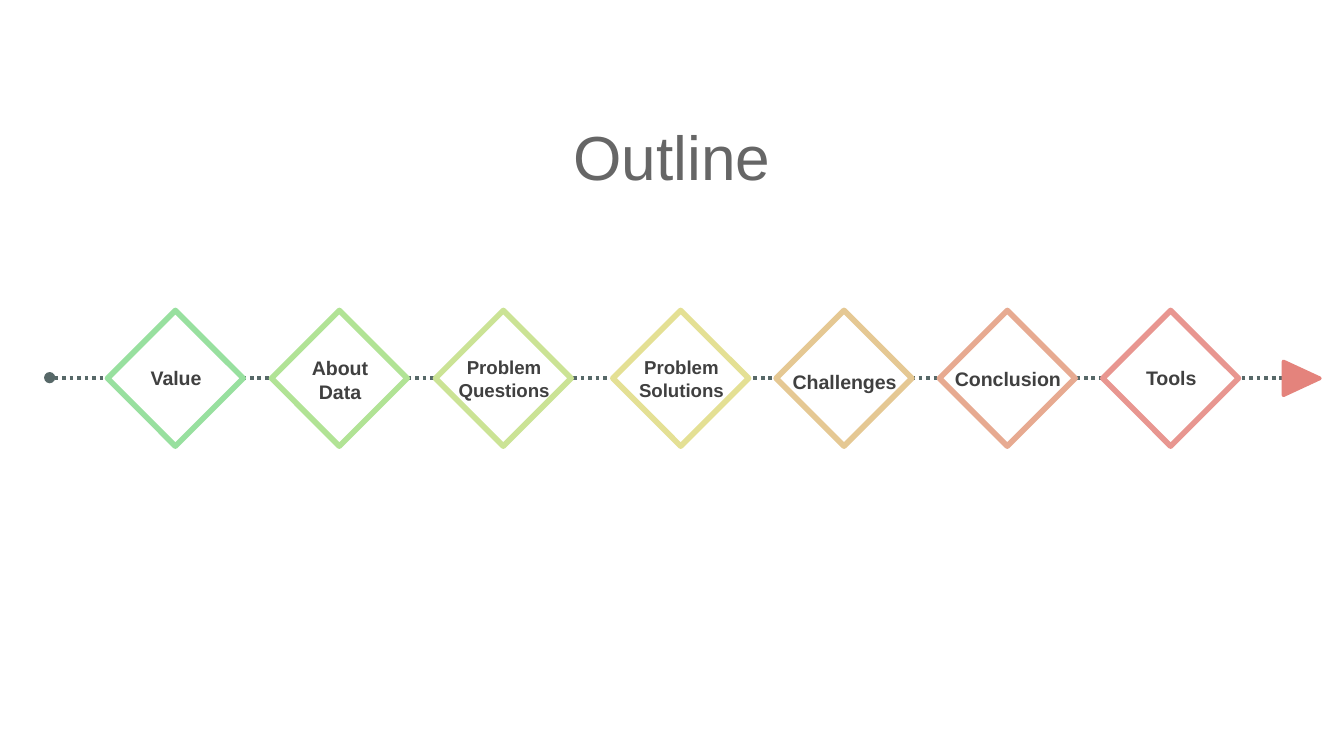
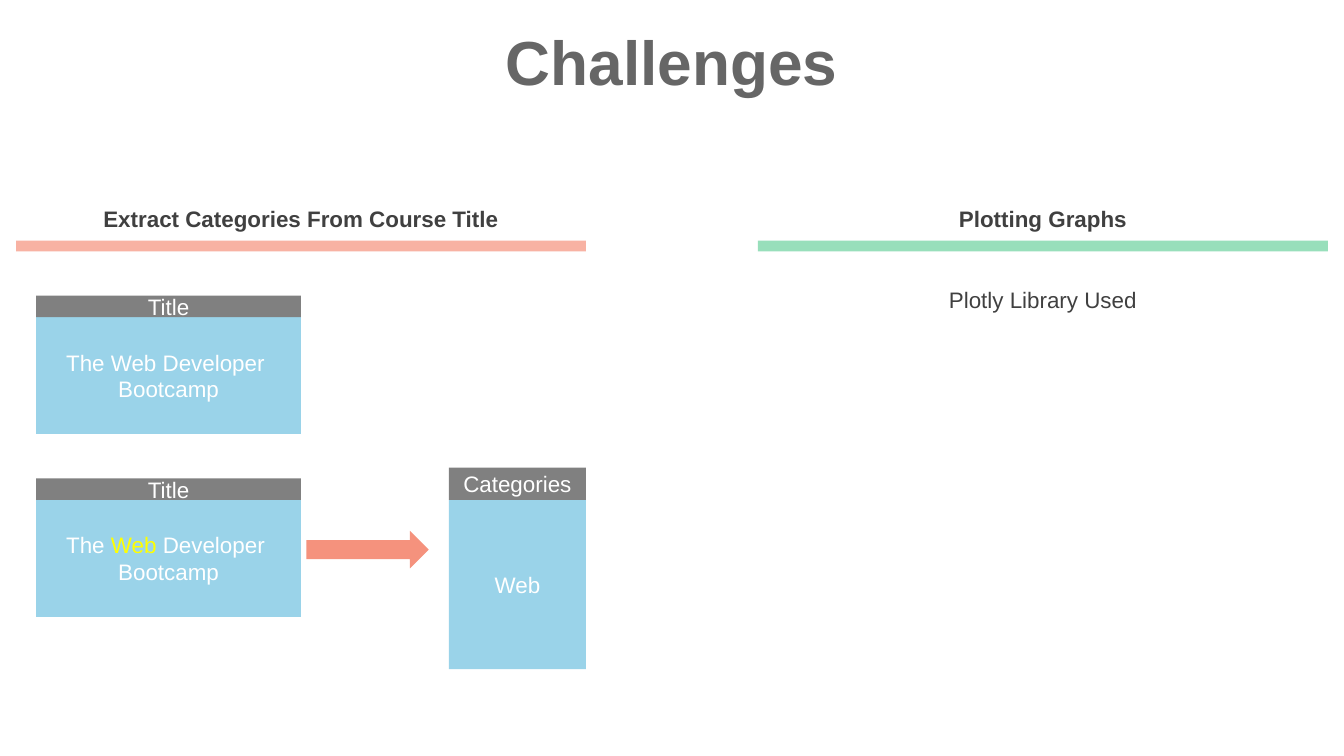
from dataclasses import dataclass

from lxml import etree
from pptx import Presentation
from pptx.dml.color import RGBColor
from pptx.enum.dml import MSO_LINE
from pptx.enum.shapes import MSO_CONNECTOR, MSO_SHAPE
from pptx.enum.text import MSO_ANCHOR, PP_ALIGN
from pptx.oxml.ns import qn
from pptx.util import Inches, Pt

RECT = MSO_SHAPE.RECTANGLE
DIAMOND = MSO_SHAPE.DIAMOND
TRIANGLE = MSO_SHAPE.ISOSCELES_TRIANGLE
ARROW = MSO_SHAPE.RIGHT_ARROW
STRAIGHT = MSO_CONNECTOR.STRAIGHT
DOTTED = MSO_LINE.ROUND_DOT
CENTER = PP_ALIGN.CENTER
TOP, MIDDLE = MSO_ANCHOR.TOP, MSO_ANCHOR.MIDDLE
COLS = 100


@dataclass(frozen=True)
class Theme:
    """Colours and type sizes of the deck."""

    font: str = "Arial"
    title: str = "666666"
    ink: str = "404040"
    white: str = "FFFFFF"
    mark: str = "FFFF00"
    track: str = "576868"
    tip: str = "E4837C"
    head: str = "808080"
    body: str = "9AD3E9"
    arrow: str = "F5927D"
    coral: str = "F8B2A3"
    mint: str = "98DFBB"
    steps: tuple = ("98E09F", "B1E395", "CBE395", "E4E094",
                    "E5C893", "E7AA91", "E89690")
    big: float = 33.3
    text: float = 12
    label: float = 10.5
    small: float = 10


class Deck:
    """Draws styled elements on a grid of square cells, 100 to the slide's width."""

    def __init__(self, theme):
        """Start an empty deck."""
        self.theme = theme
        self.prs = Presentation()
        self.prs.slide_width = Inches(10)
        self.prs.slide_height = Inches(10) * 9 // 16
        self.cell = self.prs.slide_width // COLS
        self.slide = None

    def page(self, title, row, bold=False):
        """Add a slide with its title."""
        self.slide = self.prs.slides.add_slide(self.prs.slide_layouts[6])
        self.text(title, (0, row, COLS, 6.3), self.theme.big,
                  self.theme.title, bold, MIDDLE)

    def grid(self, *cells):
        """Turn grid cells into lengths."""
        return [round(n * self.cell) for n in cells]

    def letter(self, frame, words, size, color, bold=False, anchor=MIDDLE, mark=None):
        """Fill a text frame, with one word marked if asked."""
        frame.word_wrap = True
        frame.vertical_anchor = anchor
        para = frame.paragraphs[0]
        para.alignment = CENTER
        para.font.name = self.theme.font
        para.font.size = Pt(size)
        para.font.bold = bold
        para.font.color.rgb = RGBColor.from_string(color)
        if not mark:
            para.text = words
            return
        before, after = words.split(mark)
        first, *rest = after.split("\n")
        for part in (before, mark, first):
            run = para.add_run()
            run.text = part
            if part == mark:
                run.font.color.rgb = RGBColor.from_string(self.theme.mark)
        for part in rest:
            para.add_line_break()
            para.add_run().text = part

    def text(self, words, at, size, color, bold=False, anchor=TOP):
        """Add a text box."""
        box = self.slide.shapes.add_textbox(*self.grid(*at))
        self.letter(box.text_frame, words, size, color, bold, anchor)

    def shape(self, kind, at, fill, line=None, width=0):
        """Add a flat shape."""
        item = self.slide.shapes.add_shape(kind, *self.grid(*at))
        item.shadow.inherit = False
        item.fill.solid()
        item.fill.fore_color.rgb = RGBColor.from_string(fill)
        if line:
            item.line.color.rgb = RGBColor.from_string(line)
            item.line.width = Pt(width)
            etree.SubElement(item._element.spPr.find(qn("a:ln")), qn("a:round"))
        else:
            item.line.fill.background()
        return item

    def track(self, left, right, row):
        """Add a dotted line with round ends."""
        line = self.slide.shapes.add_connector(
            STRAIGHT, *self.grid(left, row, right, row))
        line.line.color.rgb = RGBColor.from_string(self.theme.track)
        line.line.width = Pt(2)
        line.line.dash_style = DOTTED
        props = line._element.spPr
        for end in ("a:headEnd", "a:tailEnd"):
            etree.SubElement(props.find(qn("a:ln")), qn(end), type="oval")
        etree.SubElement(props, qn("a:effectLst"))

    def step(self, words, left, top, color):
        """Add a diamond and its label."""
        self.shape(DIAMOND, (left, 23.1, 10.1, 10.1), self.theme.white, color, 3)
        size = self.theme.small if "Problem" in words else self.theme.label
        high = 4.4 if "\n" in words else 2.8
        self.text(words, (left - 1, top, 12.2, high), size, self.theme.ink, True)

    def card(self, head, words, at, cap, mark=None):
        """Add a block with a header of the given height above it."""
        left, top, wide, high = at
        parts = ((words, at, self.theme.body, mark),
                 (head, (left, top - cap, wide, cap), self.theme.head, None))
        for label, place, fill, tint in parts:
            item = self.shape(RECT, place, fill)
            self.letter(item.text_frame, label, self.theme.text,
                        self.theme.white, mark=tint)

    def topic(self, words, left, color):
        """Add a heading with a coloured bar below."""
        self.shape(RECT, (left, 17.9, 42.4, 0.8), color)
        self.text(words, (left, 14.8, 42.4, 3), self.theme.text,
                  self.theme.ink, True)


def outline(deck):
    """Build the timeline."""
    theme = deck.theme
    deck.page("Outline", 8.4)
    deck.track(3.7, 96.2, 28.1)
    steps = (("Value", 26.7), ("About\nData", 26), ("Problem\nQuestions", 26),
             ("Problem\nSolutions", 26), ("Challenges", 27),
             ("Conclusion", 26.8), ("Tools", 26.7))
    for i, ((words, top), color) in enumerate(zip(steps, theme.steps)):
        left = 8 + 12.2 * i if i < 3 else 45.6 + 12.15 * (i - 3)
        deck.step(words, left, top, color)
    tip = deck.shape(TRIANGLE, (95.6, 26.8, 2.5, 2.7), theme.tip, theme.tip, 2)
    tip.rotation = 90


def hurdles(deck):
    """Build the two topics and the cards."""
    theme = deck.theme
    deck.page("Challenges", 1.4, True)
    deck.topic("Extract Categories From Course Title", 1.2, theme.coral)
    deck.topic("Plotting Graphs", 56.4, theme.mint)
    deck.text("Plotly Library Used", (62.1, 20.8, 31, 3), theme.text, theme.ink)
    course = "The Web Developer \nBootcamp"
    for top, mark in ((23.6, None), (37.2, "Web")):
        deck.card("Title", course, (2.7, top, 19.7, 8.7), 1.6, mark)
    deck.card("Categories", "Web", (33.4, 37.2, 10.2, 12.6), 2.4)
    deck.shape(ARROW, (22.8, 39.5, 9.1, 2.8), theme.arrow)


def main():
    """Build and save the deck."""
    deck = Deck(Theme())
    outline(deck)
    hurdles(deck)
    deck.prs.save("out.pptx")


if __name__ == "__main__":
    main()
